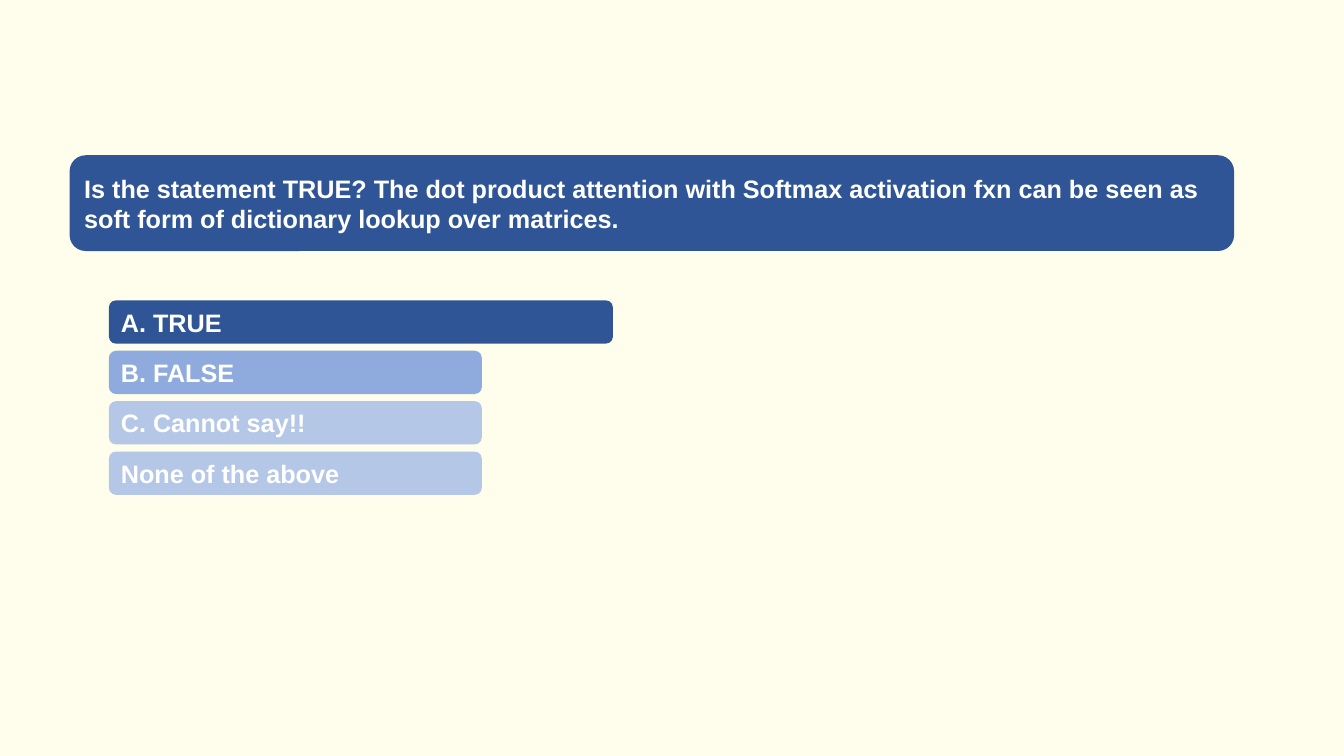
from pptx import Presentation
from pptx.dml.color import RGBColor
from pptx.enum.shapes import MSO_SHAPE
from pptx.enum.text import MSO_ANCHOR, PP_ALIGN
from pptx.util import Inches, Pt

ROUNDED = MSO_SHAPE.ROUNDED_RECTANGLE
MIDDLE = MSO_ANCHOR.MIDDLE
LEFT = PP_ALIGN.LEFT

BLANK_LAYOUT = 6
CREAM, WHITE = "FFFEED", "FFFFFF"
DARK_BLUE, MID_BLUE, PALE_BLUE = "2F5597", "8FAADC", "B4C7E7"

QUESTION = ("Is the statement TRUE? The dot product attention with Softmax "
            "activation fxn can be seen as soft form of dictionary lookup "
            "over matrices.")
# text, width, fill
ANSWERS = [
    ("A. TRUE", 5, DARK_BLUE),
    ("B. FALSE", 3.7, MID_BLUE),
    ("C. Cannot say!!", 3.7, PALE_BLUE),
    ("None of the above", 3.7, PALE_BLUE),
]
ANSWER_LEFT, ANSWER_TOP = 1.08, 2.98
ANSWER_HEIGHT, ANSWER_PITCH = 0.43, 0.5


def set_fill(fill, color):
    fill.solid()
    fill.fore_color.rgb = RGBColor.from_string(color)


def add_bar(slide, text, left, top, width, height, color):
    """Add a rounded bar with bold white text at the left."""
    sp = slide.shapes.add_shape(ROUNDED, Inches(left), Inches(top),
                                Inches(width), Inches(height))
    sp.shadow.inherit = False
    set_fill(sp.fill, color)
    sp.line.fill.background()
    tf = sp.text_frame
    tf.word_wrap = True
    tf.vertical_anchor = MIDDLE
    p = tf.paragraphs[0]
    p.alignment = LEFT
    r = p.add_run()
    r.text = text
    r.font.name = "Arial"
    r.font.size = Pt(18)
    r.font.bold = True
    r.font.color.rgb = RGBColor.from_string(WHITE)


def main():
    prs = Presentation()
    prs.slide_width, prs.slide_height = Inches(13.33), Inches(7.5)
    s = prs.slides.add_slide(prs.slide_layouts[BLANK_LAYOUT])
    set_fill(s.background.fill, CREAM)
    add_bar(s, QUESTION, 0.69, 1.54, 11.55, 0.95, DARK_BLUE)
    for i, (text, width, color) in enumerate(ANSWERS):
        add_bar(s, text, ANSWER_LEFT, ANSWER_TOP + i * ANSWER_PITCH,
                width, ANSWER_HEIGHT, color)
    prs.save("out.pptx")


if __name__ == "__main__":
    main()
